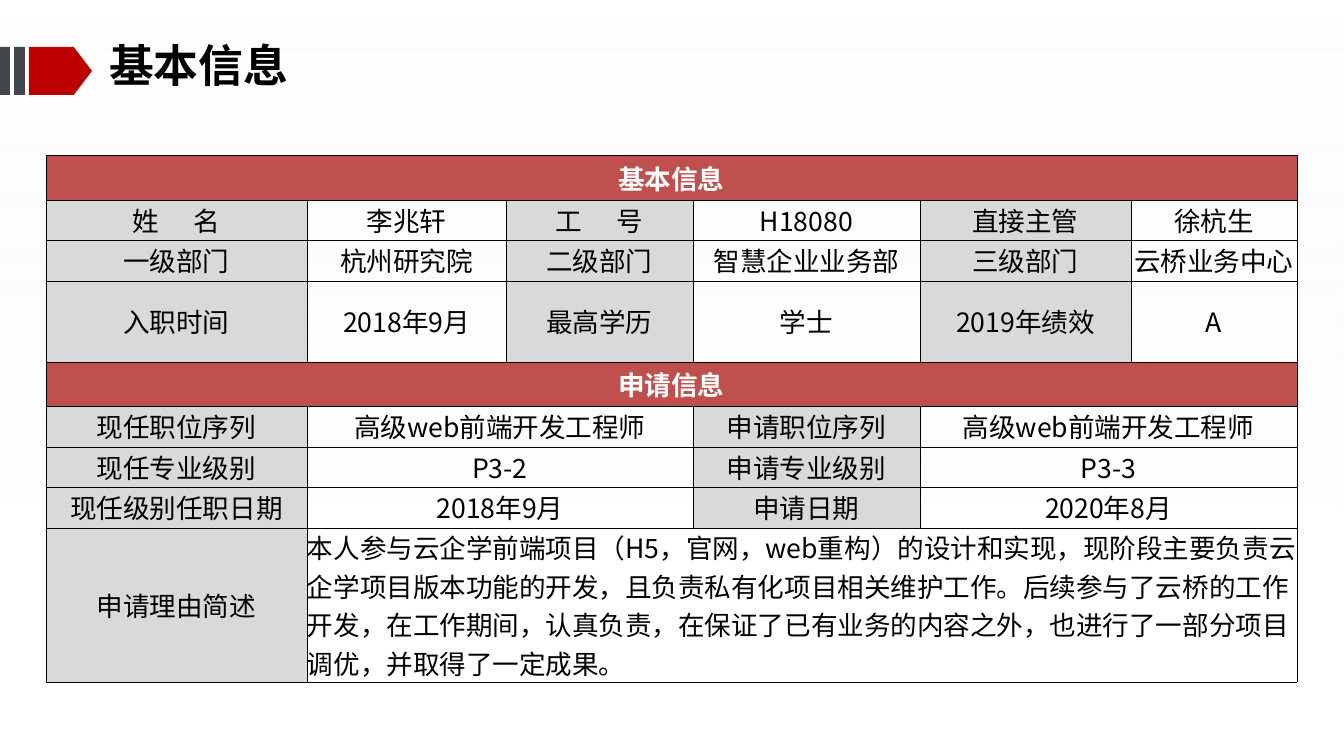
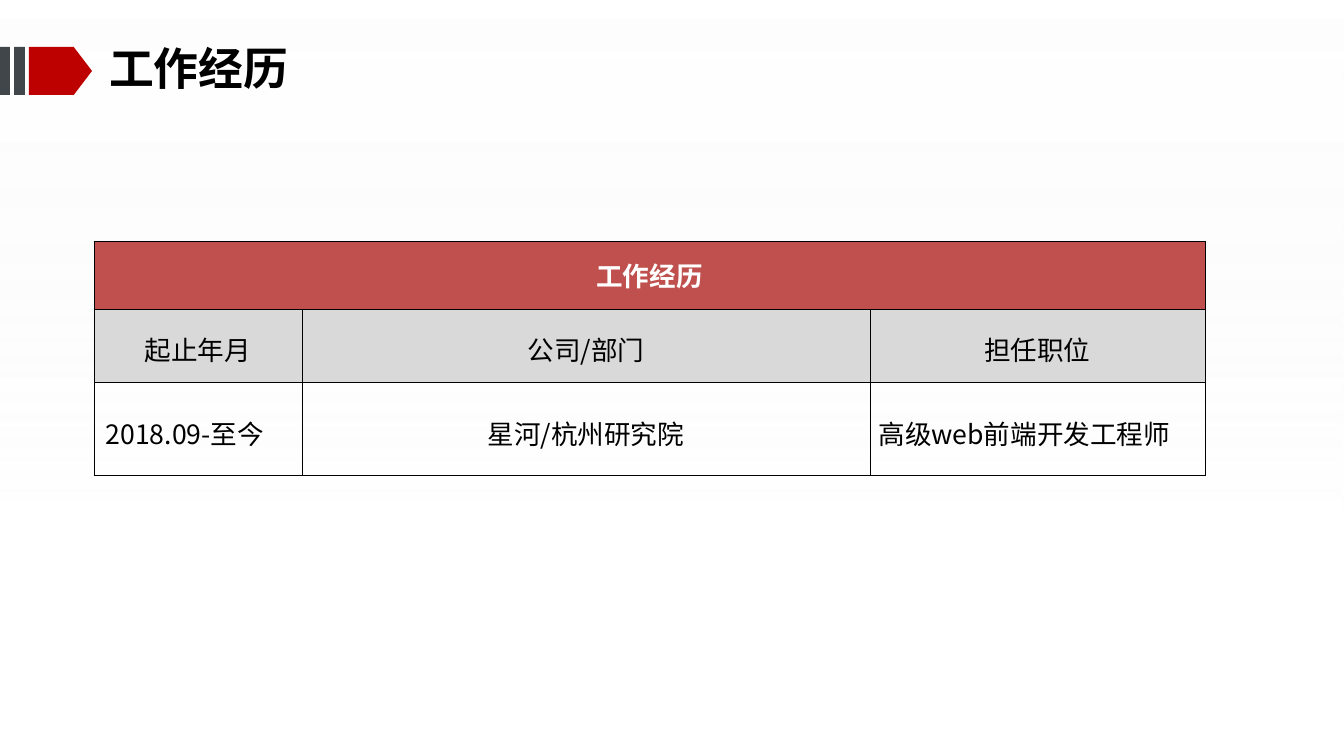
import pptx
import pptx.dml.color
import pptx.enum.shapes
import pptx.enum.text
import pptx.oxml
import pptx.oxml.ns
import pptx.util

PX = 914400 / 100.8
FONT = "Noto Sans CJK SC"
COLORS = {
    "white": "FFFFFF", "black": "000000", "haze": "F2F2F2", "red": "BD0000",
    "slate": "40464A", "header": "C0504D", "label": "D9D9D9",
}
RGB = {name: pptx.dml.color.RGBColor.from_string(c) for name, c in COLORS.items()}
SHAPE = pptx.enum.shapes.MSO_SHAPE
ALIGN = pptx.enum.text.PP_ALIGN
ANCHOR = pptx.enum.text.MSO_ANCHOR
Pt = pptx.util.Pt
qn = pptx.oxml.ns.qn
A_NS = pptx.oxml.ns.nsdecls("a")


def px(n):
    return pptx.util.Emu(round(n * PX))


def format_run(r, size, color, bold):
    r.font.size = Pt(size)
    r.font.name = FONT
    r.font.bold = bold
    r.font.color.rgb = RGB[color]
    latin = r.font._element.find(qn("a:latin"))
    latin.addnext(pptx.oxml.parse_xml(f'<a:ea {A_NS} typeface="{FONT}"/>'))


prs = pptx.Presentation()
prs.slide_width, prs.slide_height = px(1344), px(756)
layout = prs.slide_layouts[5]

# Each row: height, kind, cell texts; None continues the cell to its left,
# and "|" ends a run that is letter-spaced.
slides = [
    {
        "title": "基本信息", "title_box": (109, 44, 555, 55),
        "at": (46, 155), "cols": [261, 199, 187, 227, 211, 166], "spaced": False,
        "rows": [
            (45, "header", ["基本信息"] + [None] * 5),
            (40, "pairs", ["姓 |名", "李兆轩", "工 |号", "H18080", "直接主管", "徐杭生"]),
            (41, "pairs", ["一级部门", "杭州研究院", "二级部门", "智慧企业业务部",
                           "三级部门", "云桥业务中心"]),
            (81, "pairs", ["入职时间", "2018年9月", "最高学历", "学士", "2019年绩效", "A"]),
            (44, "header", ["申请信息"] + [None] * 5),
            (41, "pairs", ["现任职位序列", "高级web前端开发工程师", None,
                           "申请职位序列", "高级web前端开发工程师", None]),
            (40, "pairs", ["现任专业级别", "P3-2", None, "申请专业级别", "P3-3", None]),
            (41, "pairs", ["现任级别任职日期", "2018年9月", None,
                           "申请日期", "2020年8月", None]),
            (154, "pairs", [
                "申请理由简述",
                "本人参与云企学前端项目（H5，官网，web重构）的设计和实现，现阶段主要负责"
                "云企学项目版本功能的开发，且负责私有化项目相关维护工作。后续参与了云桥的"
                "工作开发，在工作期间，认真负责，在保证了已有业务的内容之外，也进行了一部分"
                "项目调优，并取得了一定成果。",
            ] + [None] * 4),
        ],
    },
    {
        "title": "工作经历", "title_box": (109, 47, 416, 41),
        "at": (94, 241), "cols": [208, 568, 335], "spaced": True,
        "rows": [
            (68, "header", ["工作经历", None, None]),
            (73, "labels", ["起止年月", "公司/部门", "担任职位"]),
            (93, "values", ["2018.09-至今　", "星河/杭州研究院", "高级web前端开发工程师　"]),
        ],
    },
]

for number, content in enumerate(slides):
    s = prs.slides.add_slide(layout)

    if number == 0:
        # Shared backdrop and title marker, moved into the layout.
        for kind, box, color in [
            (SHAPE.RECTANGLE, (0, 0, 1344, 756), None),
            (SHAPE.PENTAGON, (29, 47, 63, 48), "red"),
            (SHAPE.RECTANGLE, (14, 47, 11, 48), "slate"),
            (SHAPE.RECTANGLE, (0, 47, 10, 48), "slate"),
        ]:
            sp = s.shapes.add_shape(kind, *map(px, box))
            sp.shadow.inherit = False
            sp.line.fill.background()
            if color:
                sp.fill.solid()
                sp.fill.fore_color.rgb = RGB[color]
            else:
                sp.fill.gradient()
                sp.fill.gradient_angle = 270
                stops = zip(sp.fill.gradient_stops, ("white", "haze"), (0, 0.71), (55, 0))
                for stop, tone, position, alpha in stops:
                    stop.color.rgb = RGB[tone]
                    stop.position = position
                    clr = stop._gs.find(qn("a:srgbClr"))
                    clr.append(pptx.oxml.parse_xml(f'<a:alpha {A_NS} val="{alpha * 1000}"/>'))
            if kind == SHAPE.PENTAGON:
                sp.adjustments[0] = 0.38
            layout.shapes.element.append(sp.element)

    title = s.shapes.title
    title.left, title.top, title.width, title.height = map(px, content["title_box"])
    tf = title.text_frame
    tf.text = content["title"]
    tf.margin_left = tf.margin_top = tf.margin_right = tf.margin_bottom = 0
    tf.vertical_anchor = ANCHOR.TOP
    tf.auto_size = pptx.enum.text.MSO_AUTO_SIZE.NONE
    p = tf.paragraphs[0]
    p.alignment = ALIGN.LEFT
    p.line_spacing = 0.9
    format_run(p.runs[0], 32, "black", True)

    cols, rows = content["cols"], content["rows"]
    size = (sum(cols), sum(row[0] for row in rows))
    frame = s.shapes.add_table(len(rows), len(cols), *map(px, content["at"] + size))
    table = frame.table
    table.first_row = table.horz_banding = False
    for col, width in zip(table.columns, cols):
        col.width = px(width)

    for i, (height, kind, texts) in enumerate(rows):
        table.rows[i].height = px(height)
        starts = [j for j, text in enumerate(texts) if text is not None]
        ends = starts[1:] + [len(cols)]
        labels = {"pairs": starts[::2], "labels": starts}.get(kind, [])

        for j in range(len(cols)):
            cell = table.cell(i, j)
            cell.margin_left = cell.margin_top = cell.margin_right = cell.margin_bottom = 0
            cell.vertical_anchor = ANCHOR.MIDDLE
            tcPr = cell._tc.get_or_add_tcPr()
            for side in "LRTB":
                tcPr.append(pptx.oxml.parse_xml(
                    f'<a:ln{side} {A_NS} w="6350"><a:solidFill>'
                    f'<a:srgbClr val="{COLORS["black"]}"/></a:solidFill></a:ln{side}>'))
            if kind == "header" or j in labels:
                cell.fill.solid()
                cell.fill.fore_color.rgb = RGB["header" if kind == "header" else "label"]
            else:
                cell.fill.background()

        for start, end in zip(starts, ends):
            cell = table.cell(i, start)
            if end - start > 1:
                cell.merge(table.cell(i, end - 1))
            if kind == "values":
                cell.margin_left = cell.margin_right = cell.margin_top = px(1)
            first, _, rest = texts[start].partition("|")
            p = cell.text_frame.paragraphs[0]
            p.text = first
            if rest:
                p.runs[0].font._element.set("spc", "1000")
                p.add_run().text = rest
            p.alignment = ALIGN.LEFT if end - start == 5 else ALIGN.CENTER
            if content["spaced"] and kind != "header":
                p.line_spacing = 1.2
                p.space_before = p.space_after = Pt(6)
            for r in p.runs:
                format_run(r, 19, "white" if kind == "header" else "black", kind == "header")

prs.save("out.pptx")
